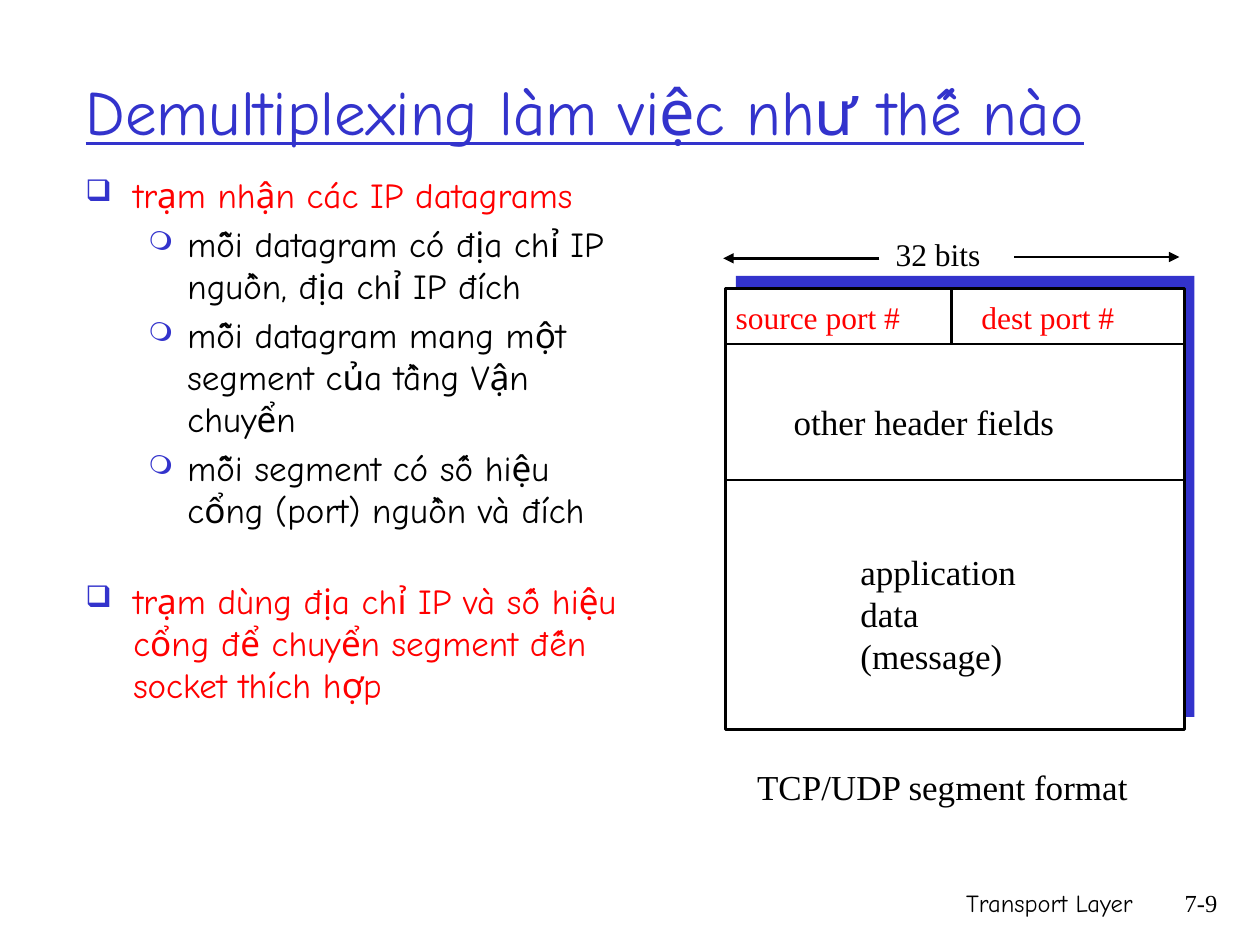
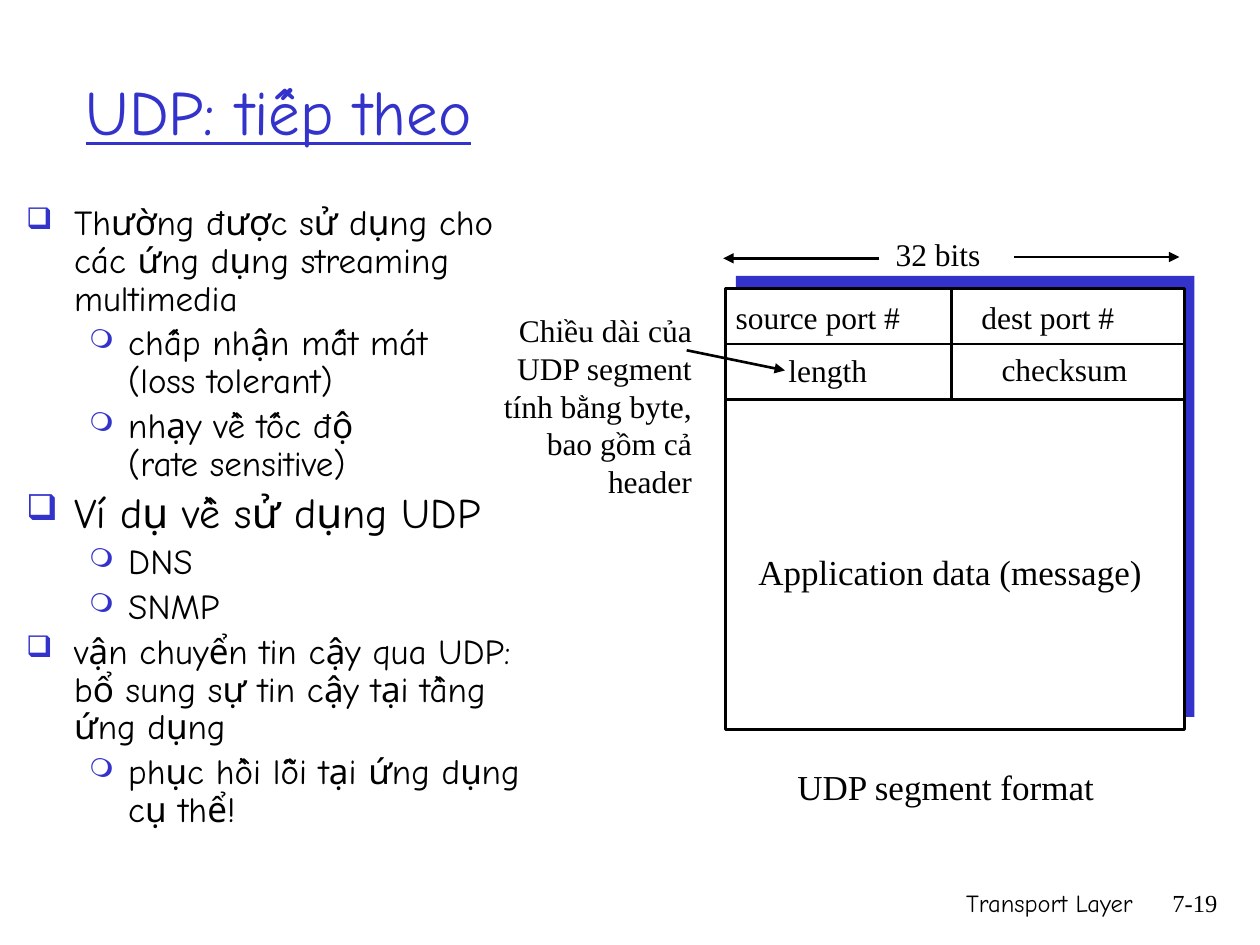
"""Build two slides on transport-layer demultiplexing and UDP segments."""
from lxml import etree
from pptx import Presentation
from pptx import util as u
from pptx.dml.color import RGBColor
from pptx.enum import shapes, text
from pptx.oxml import ns

COLUMNS, ROWS = 100, 75
BLUE, RED, BLACK, WHITE = "3333CC", "FF0000", "000000", "FFFFFF"
HAND, SERIF = "Comic Neue", "Times New Roman"
LEFT, RIGHT = text.PP_ALIGN.LEFT, text.PP_ALIGN.RIGHT
BULLETS = (("❑", 85, 0.38, 0.38), ("❍", 75, 0.81, 0.31))

SEGMENT_LEFT, SEGMENT_TOP, SEGMENT_WIDTH, SEGMENT_HEIGHT = 57.6, 22.9, 36.4, 35
SEGMENT_RIGHT = SEGMENT_LEFT + SEGMENT_WIDTH
PORT_DIVIDER, PORTS_BOTTOM = 75.5, 27.3


def color(code):
    return RGBColor.from_string(code)


def child(parent, tag, **attributes):
    return etree.SubElement(parent, ns.qn(tag), attributes)


def add_bullet(paragraph, level):
    mark, percent, margin, hanging = BULLETS[level]
    properties = paragraph._p.get_or_add_pPr()
    properties.set("marL", str(u.Inches(margin)))
    properties.set("indent", str(-u.Inches(hanging)))
    child(child(properties, "a:buClr"), "a:srgbClr", val=BLUE)
    child(properties, "a:buSzPct", val=str(percent * 1000))
    child(properties, "a:buChar", char=mark)


def write(paragraph, words, size=20, font=SERIF, ink=BLACK, align=LEFT,
          underline=False, level=None, before=0, spacing=1.0):
    paragraph.text = words
    if level is not None:
        add_bullet(paragraph, level)
        paragraph.level = level
    paragraph.alignment = align
    paragraph.space_before = u.Pt(before)
    paragraph.line_spacing = spacing
    for run in paragraph.runs:
        run.font.size = u.Pt(size)
        run.font.name = font
        run.font.underline = underline
        run.font.color.rgb = color(ink)


class Deck:
    """Hold the shared style and the slide being drawn."""

    def __init__(self):
        self.show = Presentation()
        self.show.slide_width, self.show.slide_height = u.Inches(10), u.Inches(7.5)
        self.column = self.show.slide_width / COLUMNS
        self.row = self.show.slide_height / ROWS
        self.slide = None

    def place(self, across, down):
        return round(across * self.column), round(down * self.row)

    def start(self, heading, number):
        self.slide = self.show.slides.add_slide(self.show.slide_layouts[5])
        title = self.slide.shapes.title
        title.left, title.top = self.place(5.8, 2.5)
        title.width, title.height = self.place(91, 12.5)
        frame = title.text_frame
        frame.auto_size = text.MSO_AUTO_SIZE.NONE
        frame.vertical_anchor = text.MSO_ANCHOR.MIDDLE
        write(frame.paragraphs[0], heading, size=36, font=HAND, ink=BLUE, underline=True)
        self.label("Transport Layer", 59.2, 70, 31.7, 5, size=14, font=HAND, align=RIGHT)
        self.label(number, 90.8, 70, 6.8, 5, size=14, align=RIGHT)

    def frame(self, left, top, width, height):
        box = self.slide.shapes.add_textbox(*self.place(left, top), *self.place(width, height))
        box.text_frame.word_wrap = True
        return box.text_frame

    def label(self, words, left, top, width, height=4, **style):
        write(self.frame(left, top, width, height).paragraphs[0], words, **style)

    def outline(self, points, left, top, width, height, spacing=1.0):
        frame = self.frame(left, top, width, height)
        for index, (level, words, style) in enumerate(points):
            paragraph = frame.add_paragraph() if index else frame.paragraphs[0]
            gap = 0.2 * style.get("size", 20) if index else 0
            write(paragraph, words, **{"font": HAND, "level": level, "before": gap,
                                       "spacing": spacing, **style})

    def block(self, left, top, width, height, fill, edge=None):
        rectangle = self.slide.shapes.add_shape(
            shapes.MSO_SHAPE.RECTANGLE, *self.place(left, top), *self.place(width, height))
        rectangle.shadow.inherit = False
        rectangle.fill.solid()
        rectangle.fill.fore_color.rgb = color(fill)
        if edge:
            rectangle.line.color.rgb = color(edge)
            rectangle.line.width = u.Pt(1.5)
        else:
            rectangle.line.fill.background()

    def line(self, start, end, arrow=False):
        stroke = self.slide.shapes.add_connector(
            shapes.MSO_CONNECTOR.STRAIGHT, *self.place(*start), *self.place(*end))
        stroke.line.color.rgb = color(BLACK)
        stroke.line.width = u.Pt(1.5)
        if arrow:
            child(stroke.line._get_or_add_ln(), "a:tailEnd", type="triangle")
        child(stroke._element.spPr, "a:effectLst")

    def segment(self, header_bottom, port_ink, divider_bottom):
        self.block(58.4, 21.9, SEGMENT_WIDTH, SEGMENT_HEIGHT, BLUE)
        self.block(SEGMENT_LEFT, SEGMENT_TOP, SEGMENT_WIDTH, SEGMENT_HEIGHT, WHITE, BLACK)
        for edge in (PORTS_BOTTOM, header_bottom):
            self.line((SEGMENT_LEFT, edge), (SEGMENT_RIGHT, edge))
        self.line((PORT_DIVIDER, SEGMENT_TOP), (PORT_DIVIDER, divider_bottom))
        self.label("source port #", 57.4, 23.2, 18.3, size=18, ink=port_ink)
        self.label("dest port #", 76.9, 23.2, 15.9, size=18, ink=port_ink)
        self.label("32 bits", 70.1, 18.2, 10.4, size=18)
        self.line((80.5, 20.4), (93.6, 20.4), arrow=True)
        self.line((69.8, 20.5), (57.4, 20.5), arrow=True)


def demultiplexing(deck):
    deck.start("Demultiplexing làm việc như thế nào", "7-9")
    deck.outline([
        (0, "trạm nhận các IP datagrams", {"ink": RED}),
        (1, "mỗi datagram có địa chỉ IP nguồn, địa chỉ IP đích", {}),
        (1, "mỗi datagram mang một segment của tầng Vận chuyển", {}),
        (1, "mỗi segment có số hiệu cổng (port) nguồn và đích", {}),
        (0, "trạm dùng địa chỉ IP và số hiệu cổng để chuyển segment đến socket thích hợp",
         {"ink": RED, "before": 28}),
    ], 5.8, 13.3, 45, 30.5)
    deck.segment(header_bottom=38.1, port_ink=RED, divider_bottom=PORTS_BOTTOM)
    deck.label("other header fields", 62, 31.3, 27.4)
    payload = deck.frame(67.3, 43.2, 15.8, 11)
    for index, words in enumerate(("application", "data", "(message)")):
        write(payload.add_paragraph() if index else payload.paragraphs[0], words)
    deck.label("TCP/UDP segment format", 59.1, 60.3, 35.5)


def udp(deck):
    header_bottom = 31.7
    deck.start("UDP: tiếp theo", "7-19")
    deck.outline([
        (0, "Thường được sử dụng cho các ứng dụng streaming multimedia", {}),
        (1, "chấp nhận mất mát\v(loss tolerant)", {}),
        (1, "nhạy về tốc độ\v(rate sensitive)", {}),
        (0, "Ví dụ về sử dụng UDP", {"size": 24}),
        (1, "DNS", {}),
        (1, "SNMP", {}),
        (0, "vận chuyển tin cậy qua UDP: bổ sung sự tin cậy tại tầng ứng dụng", {}),
        (1, "phục hồi lỗi tại ứng dụng cụ thể!", {}),
    ], 1.1, 15.8, 41.7, 56, spacing=0.9)
    deck.segment(header_bottom, port_ink=BLACK, divider_bottom=header_bottom)
    deck.label("length", 61.6, 27.4, 9.3, size=18)
    deck.label("checksum", 78.5, 27.3, 13.2, size=18)
    deck.label("Application data (message)", 59.2, 43.2, 34.5)
    deck.label("UDP segment format", 62.3, 60.3, 29)
    deck.label("Chiều dài của\vUDP segment\vtính bằng byte,\vbao gồm cả header",
               37.1, 24.2, 18.8, 19, size=18, align=RIGHT)
    deck.line((54.5, 27.8), (62.3, 29.4), arrow=True)


def main():
    deck = Deck()
    demultiplexing(deck)
    udp(deck)
    deck.show.save("out.pptx")


if __name__ == "__main__":
    main()
